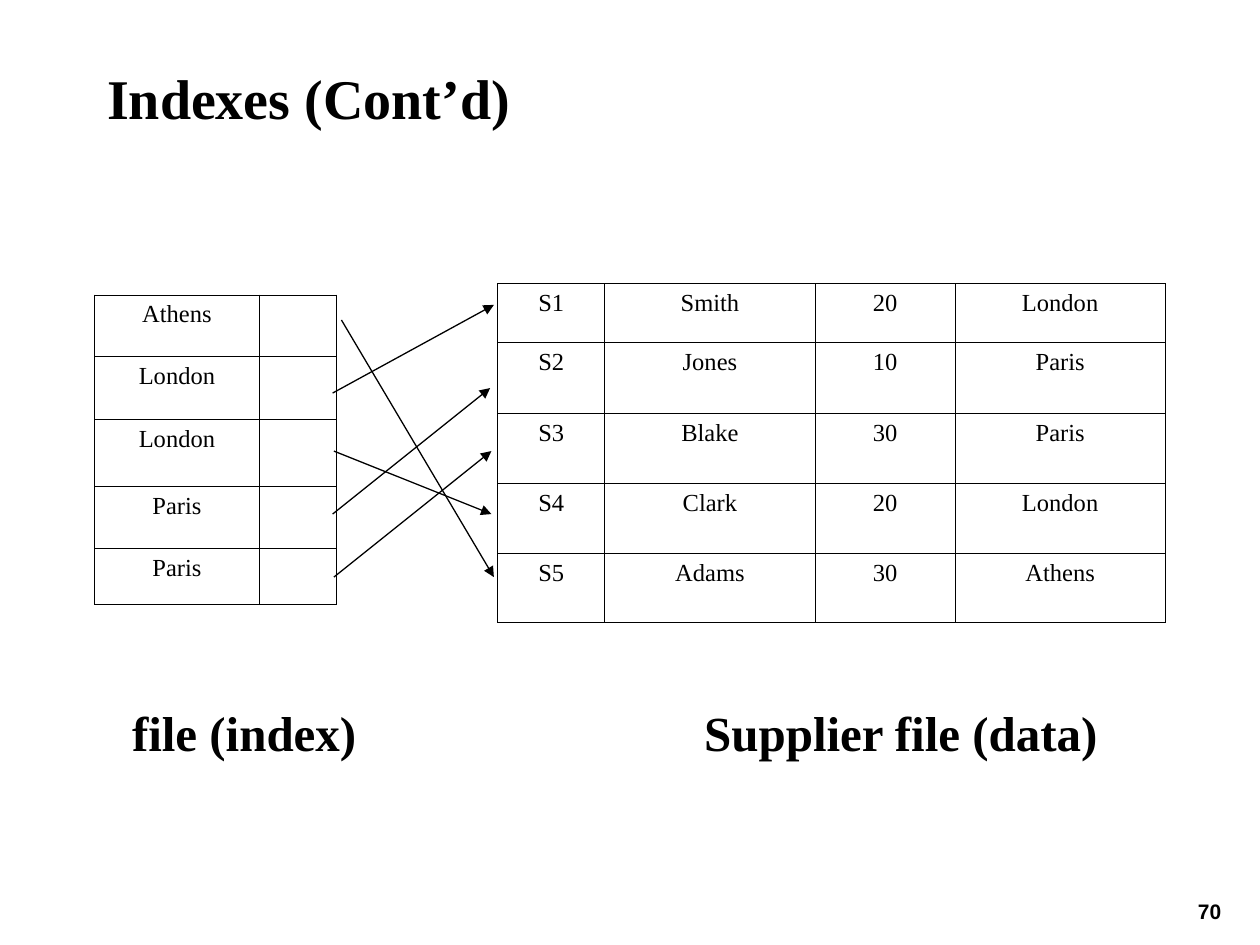
from dataclasses import dataclass

from lxml import etree
from pptx import Presentation
from pptx import util as u
from pptx.dml.color import RGBColor
from pptx.enum import shapes, text
from pptx.oxml import ns


@dataclass(frozen=True)
class Theme:
    ink: RGBColor = RGBColor(0, 0, 0)
    paper: RGBColor = RGBColor(255, 255, 255)
    serif: str = "Times New Roman"
    sans: str = "Arial"
    title: int = 32
    caption: int = 28
    cell: int = 14
    number: int = 12
    arrow: float = 0.75
    border: float = 0.45


def inches(*values):
    return [u.Inches(v) for v in values]


def add_xml(parent, tag, **attrs):
    return etree.SubElement(parent, ns.qn(tag), attrs)


class SlideBuilder:
    def __init__(self, s, theme):
        self.s, self.theme = s, theme
        bg = s.background.fill
        bg.solid()
        bg.fore_color.rgb = theme.paper

    def add_text(self, tf, content, align, **fmt):
        p = tf.paragraphs[0]
        p.alignment = align
        r = p.add_run()
        r.text = content
        for name, value in fmt.items():
            setattr(r.font, name, value)
        r.font.color.rgb = self.theme.ink
        return p

    def title(self, content, box):
        sp = self.s.shapes.title
        sp.left, sp.top, sp.width, sp.height = inches(*box)
        tf = sp.text_frame
        tf.vertical_anchor = text.MSO_ANCHOR.MIDDLE
        p = self.add_text(tf, content, text.PP_ALIGN.LEFT, bold=True,
                          name=self.theme.serif, size=u.Pt(self.theme.title))
        p.line_spacing = 0.9

    def label(self, content, box, align, font, size, tab=None):
        tf = self.s.shapes.add_textbox(*inches(*box)).text_frame
        tf.word_wrap = True
        tf.vertical_anchor = text.MSO_ANCHOR.MIDDLE
        p = tf.paragraphs[0]
        if tab:
            tabs = add_xml(p._p.get_or_add_pPr(), "a:tabLst")
            add_xml(tabs, "a:tab", pos=str(u.Inches(tab)), algn="l")
        self.add_text(tf, content, align, bold=True, name=font, size=u.Pt(size))
        p.line_spacing = 0.9

    def arrow(self, start, end):
        cx = self.s.shapes.add_connector(
            shapes.MSO_CONNECTOR.STRAIGHT, *inches(*start, *end))
        cx.line.color.rgb = self.theme.ink
        cx.line.width = u.Pt(self.theme.arrow)
        sp_pr = cx._element.spPr
        add_xml(sp_pr.find(ns.qn("a:ln")), "a:tailEnd", type="triangle")
        add_xml(sp_pr, "a:effectLst")

    def cell_borders(self, cell):
        tc_pr = cell._tc.get_or_add_tcPr()
        for side in "LRTB":
            ln = add_xml(tc_pr, f"a:ln{side}", w=str(u.Pt(self.theme.border)))
            fill = add_xml(ln, "a:solidFill")
            add_xml(fill, "a:srgbClr", val=str(self.theme.ink))

    def table(self, origin, widths, heights, rows):
        frame = self.s.shapes.add_table(
            len(heights), len(widths),
            *inches(*origin, sum(widths), sum(heights)))
        tbl = frame.table
        tbl.first_row = tbl.horz_banding = False
        for col, width in zip(tbl.columns, widths):
            col.width = u.Inches(width)
        for row, height, values in zip(tbl.rows, heights, rows):
            row.height = u.Inches(height)
            for cell, value in zip(row.cells, values):
                self.cell_borders(cell)
                cell.fill.background()
                if value:
                    self.add_text(cell.text_frame, value,
                                  text.PP_ALIGN.CENTER, bold=False,
                                  name=self.theme.serif,
                                  size=u.Pt(self.theme.cell))


def main():
    prs = Presentation()
    prs.slide_width, prs.slide_height = inches(10, 7.5)
    theme = Theme()
    b = SlideBuilder(prs.slides.add_slide(prs.slide_layouts[5]), theme)

    # Slide number and title
    b.label("70", (9.35, 7.1, 0.5, 0.28), text.PP_ALIGN.CENTER,
            theme.sans, theme.number)
    b.title("Indexes (Cont’d)", (0.75, 0.33, 8.5, 0.95))

    # Pointers from index entries to supplier records
    for start, end in [
        ((2.71, 2.54), (3.92, 4.58)),
        ((2.64, 3.12), (3.92, 2.42)),
        ((2.65, 3.58), (3.9, 4.08)),
        ((2.64, 4.08), (3.89, 3.08)),
        ((2.65, 4.58), (3.9, 3.58)),
    ]:
        b.arrow(start, end)

    # Supplier records, and the index sorted by their city
    suppliers = [
        ("S1", "Smith", "20", "London"),
        ("S2", "Jones", "10", "Paris"),
        ("S3", "Blake", "30", "Paris"),
        ("S4", "Clark", "20", "London"),
        ("S5", "Adams", "30", "Athens"),
    ]
    index = [(city, "") for city in sorted(row[-1] for row in suppliers)]
    b.table((0.75, 2.34), (1.31, 0.61), (0.49, 0.5, 0.53, 0.49, 0.45), index)
    b.table((3.95, 2.25), (0.85, 1.67, 1.11, 1.67),
            (0.47, 0.56, 0.56, 0.55, 0.55), suppliers)

    # Captions under the two tables, set apart by a tab stop
    b.label("file (index)\tSupplier file (data)", (0.95, 5.58, 7.96, 0.52),
            text.PP_ALIGN.LEFT, theme.serif, theme.caption, tab=4.54)

    prs.save("out.pptx")


if __name__ == "__main__":
    main()
